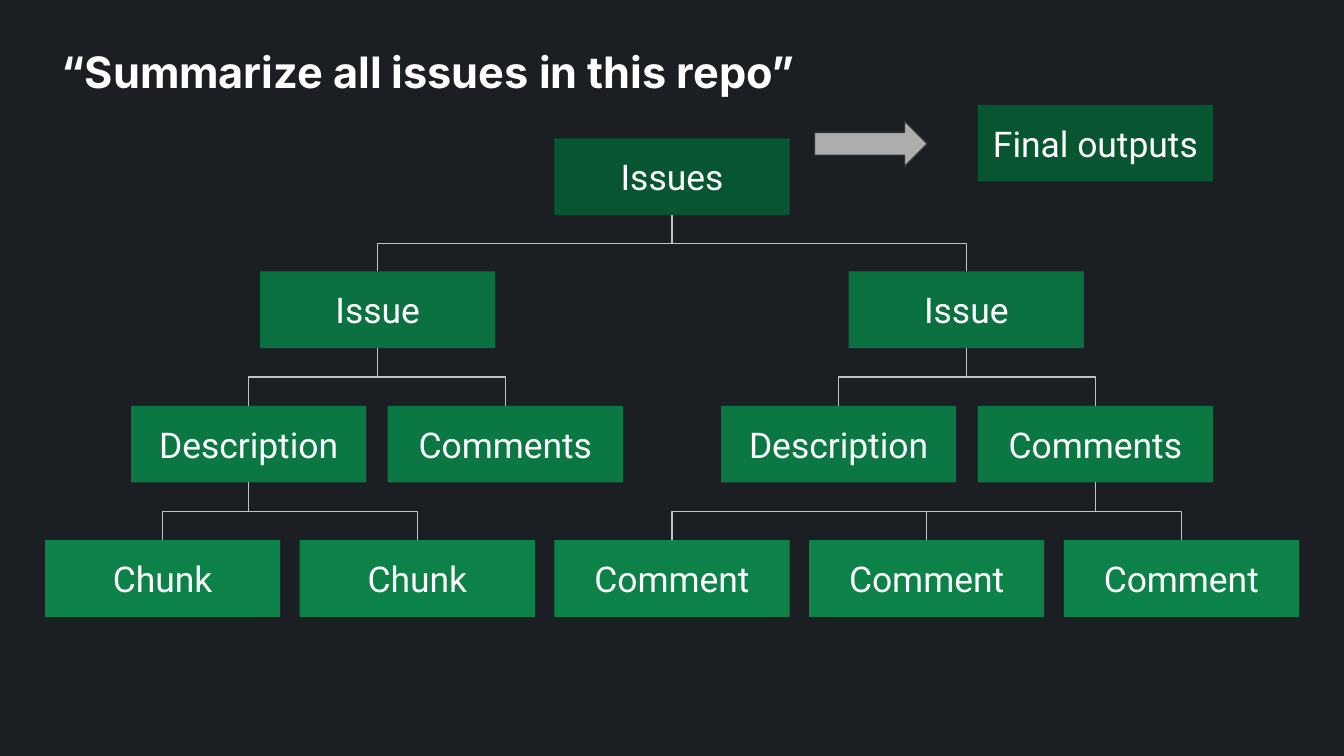
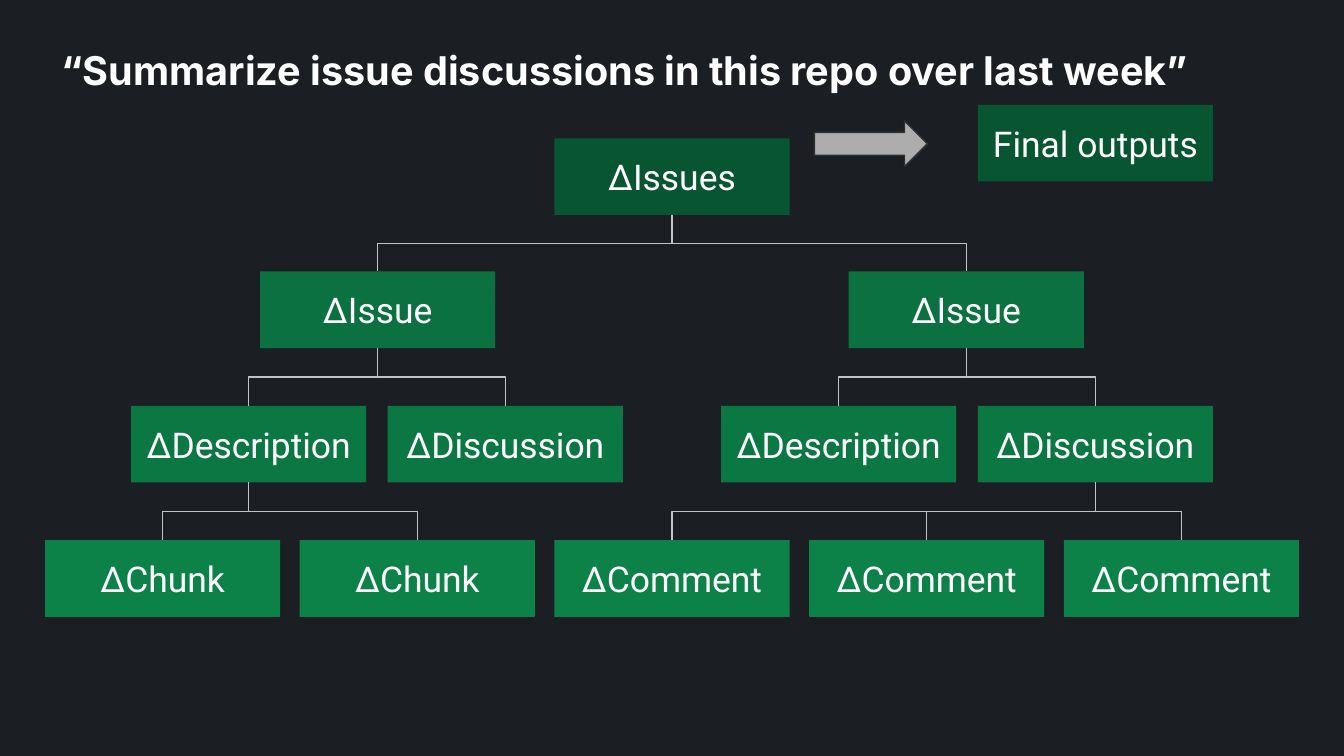
from dataclasses import dataclass

from lxml.etree import SubElement
from pptx import Presentation
from pptx.dml.color import RGBColor
from pptx.enum.shapes import MSO_CONNECTOR, MSO_SHAPE
from pptx.enum.text import MSO_ANCHOR, PP_ALIGN
from pptx.oxml.ns import qn
from pptx.util import Inches, Pt


@dataclass(frozen=True)
class Theme:
    background: RGBColor = RGBColor.from_string("1B1F24")
    text: RGBColor = RGBColor.from_string("FFFFFF")
    branch: RGBColor = RGBColor.from_string("C2C2C2")
    arrow: RGBColor = RGBColor.from_string("ADADAD")
    arrow_edge: RGBColor = RGBColor.from_string("303030")
    levels: tuple = tuple(
        RGBColor.from_string(code) for code in ("085631", "0B7140", "0B7743", "0C8148")
    )
    title_font: str = "Inter"
    box_font: str = "Roboto"
    box_size: float = 19
    line_width: float = 0.75


theme = Theme()

BOX_WIDTH, BOX_HEIGHT = 1.75, 0.57
LEVEL_TOPS = (1.03, 2.02, 3.02, 4.02)
LEAF_STEP = 7.58 / 4

# Each level lists its boxes as (centre, parent index in the level above)
TREE = (
    ((5, None),),
    ((2.81, 0), (7.19, 0)),
    ((1.85, 0), (3.76, 0), (6.24, 1), (8.15, 1)),
    tuple((1.21 + LEAF_STEP * i, parent) for i, parent in enumerate((0, 0, 3, 3, 3))),
)

# Title, title size, prefix of every box, name of the comment thread
SLIDES = (
    ("“Summarize all issues in this repo”", 23.2, "", "Comments"),
    ("“Summarize issue discussions in this repo over last week”", 21.2, "Δ", "Discussion"),
)


def write(shape, text, font_name, size, bold=False):
    frame = shape.text_frame
    frame.word_wrap = True
    frame.margin_left = frame.margin_right = Inches(0.1)
    frame.margin_top = frame.margin_bottom = Inches(0.1)
    run = frame.paragraphs[0].add_run()
    run.text = text
    run.font.name = font_name
    run.font.size = Pt(size)
    run.font.bold = bold
    run.font.color.rgb = theme.text


def add_box(slide, centre, top, text, color):
    box = slide.shapes.add_shape(
        MSO_SHAPE.RECTANGLE, Inches(centre - BOX_WIDTH / 2), Inches(top),
        Inches(BOX_WIDTH), Inches(BOX_HEIGHT),
    )
    box.shadow.inherit = False
    box.fill.solid()
    box.fill.fore_color.rgb = color
    box.line.fill.background()
    write(box, text, theme.box_font, theme.box_size)
    box.text_frame.vertical_anchor = MSO_ANCHOR.MIDDLE
    box.text_frame.paragraphs[0].alignment = PP_ALIGN.CENTER
    return box


# Widescreen slides, 16 to 9
presentation = Presentation()
presentation.slide_width = Inches(10)
presentation.slide_height = Inches(10 * 9 / 16)

# Shared background
background = presentation.slide_master.background.fill
background.solid()
background.fore_color.rgb = theme.background

for title, title_size, prefix, thread in SLIDES:
    slide = presentation.slides.add_slide(presentation.slide_layouts[6])

    # Title
    title_box = slide.shapes.add_textbox(Inches(0.36), Inches(0.24), Inches(8.67), Inches(0.63))
    write(title_box, title, theme.title_font, title_size, bold=True)

    # Tree boxes, level by level, each joined to its parent
    labels = (
        ("Issues",),
        ("Issue", "Issue"),
        ("Description", thread, "Description", thread),
        ("Chunk", "Chunk", "Comment", "Comment", "Comment"),
    )
    parents = []
    for nodes, names, top, color in zip(TREE, labels, LEVEL_TOPS, theme.levels):
        boxes = []
        for (centre, parent_index), name in zip(nodes, names):
            box = add_box(slide, centre, top, prefix + name, color)
            boxes.append(box)
            if parent_index is None:
                continue
            parent = parents[parent_index]
            connector = slide.shapes.add_connector(MSO_CONNECTOR.ELBOW, 0, 0, 0, 0)
            connector.begin_connect(parent, 2)
            connector.end_connect(box, 0)

            # Turn the elbow so that it leaves downwards
            start_x = parent.left + parent.width // 2
            start_y = parent.top + parent.height
            end_x = box.left + box.width // 2
            drop, reach = box.top - start_y, abs(end_x - start_x)
            connector.left = (start_x + end_x - drop) // 2
            connector.top = (start_y + box.top - reach) // 2
            connector.width, connector.height = drop, reach
            goes_right = end_x > start_x
            properties = connector._element.spPr
            transform = properties.find(qn("a:xfrm"))
            transform.set("rot", "16200000" if goes_right else "5400000")
            transform.set("flipH", "1" if goes_right else "0")
            transform.set("flipV", "0")
            connector.line.color.rgb = theme.branch
            connector.line.width = Pt(theme.line_width)
            SubElement(properties, qn("a:effectLst"))
        parents = boxes

    # Arrow to the result
    arrow = slide.shapes.add_shape(
        MSO_SHAPE.RIGHT_ARROW, Inches(6.06), Inches(0.9), Inches(0.84), Inches(0.34)
    )
    arrow.shadow.inherit = False
    arrow.fill.solid()
    arrow.fill.fore_color.rgb = theme.arrow
    arrow.line.color.rgb = theme.arrow_edge
    arrow.line.width = Pt(theme.line_width)
    add_box(slide, 8.15, 0.78, "Final outputs", theme.levels[0])

presentation.save("out.pptx")
